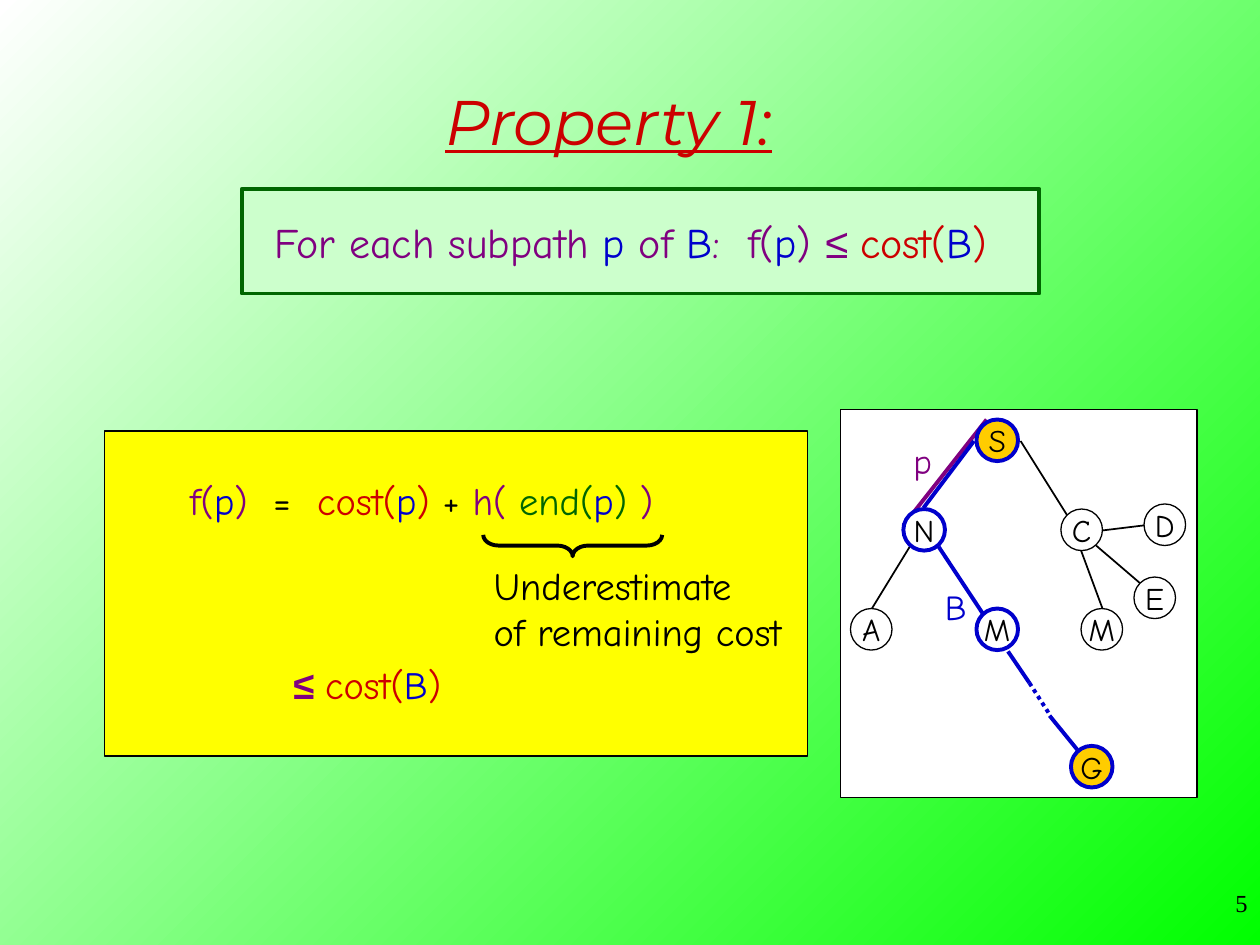
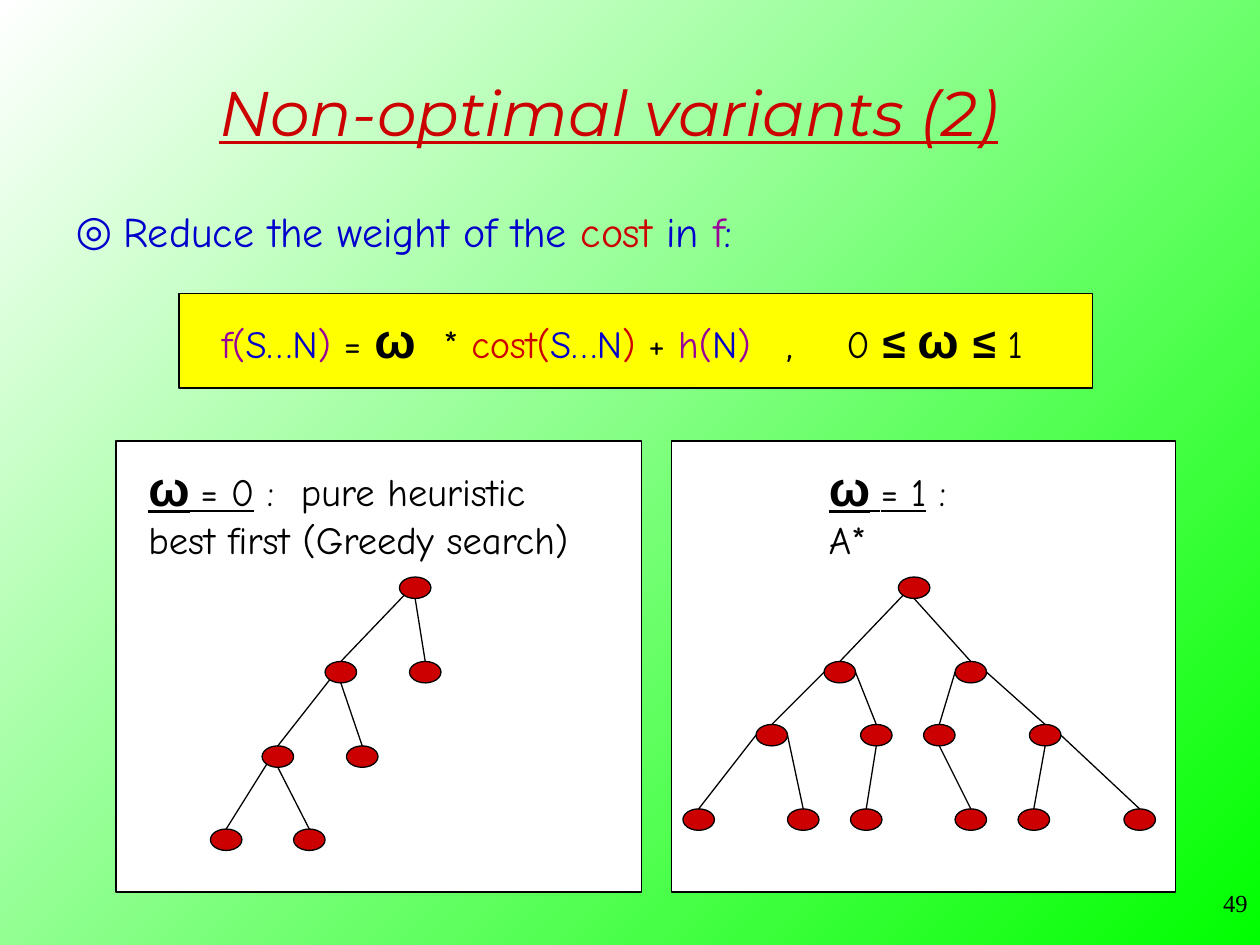
from lxml.etree import SubElement as Sub
from pptx import Presentation
from pptx.dml.color import RGBColor as RGB
from pptx.enum.dml import MSO_LINE as DASH
from pptx.enum.shapes import MSO_CONNECTOR as CONN, MSO_SHAPE as SHAPE
from pptx.enum.text import MSO_ANCHOR as ANCHOR, MSO_AUTO_SIZE as AUTO, PP_ALIGN as ALIGN
from pptx.oxml.ns import qn
from pptx.util import Inches, Pt

RED = RGB(0xCC, 0, 0)
BLUE = RGB(0, 0, 0xCC)
PURPLE = RGB(0x80, 0, 0x80)
VIOLET = RGB(0x99, 0, 0x99)
FOREST = RGB(0, 0x66, 0)
GREEN = RGB(0, 0xFF, 0)
MINT = RGB(0xCC, 0xFF, 0xCC)
YELLOW = RGB(0xFF, 0xFF, 0)
GOLD = RGB(0xFF, 0xCC, 0)
WHITE = RGB(0xFF, 0xFF, 0xFF)
BLACK = RGB(0, 0, 0)

BASE = dict(name="Comic Neue", bold=False)
TITLE = dict(name="Montserrat", italic=True, underline=True)
SIGN = dict(name="Arial", bold=True)
OMEGA = dict(SIGN, size=Pt(28))
PAGE = dict(name="Times New Roman")
FRAME = dict(word_wrap=True, auto_size=AUTO.NONE, vertical_anchor=ANCHOR.TOP)
MIDDLE = dict(vertical_anchor=ANCHOR.MIDDLE)
SITES = dict(w=(0, 0.5), e=(1, 0.5), s=(0.5, 1), sw=(0.15, 0.85), n=(0.5, 0))


def assign(target, values):
    for key, value in values.items():
        setattr(target, key, value)


def write(shape, lines, size, tabs=(), align=ALIGN.LEFT, **frame):
    text = shape.text_frame
    assign(text, FRAME | frame)
    for i, parts in enumerate(lines):
        para = text.paragraphs[0] if i == 0 else text.add_paragraph()
        para.alignment = align
        for words, ink, *extra in parts:
            run = para.add_run()
            run.text = words
            assign(run.font, BASE | dict(size=Pt(size)) | (extra[0] if extra else {}))
            run.font.color.rgb = ink
        if tabs:
            stops = Sub(para._p.get_or_add_pPr(), qn("a:tabLst"))
            for stop in tabs:
                Sub(stops, qn("a:tab"), pos=str(Inches(stop)), algn="l")


def place(shape, box):
    assign(shape, dict(zip(("left", "top", "width", "height"), map(Inches, box))))


def label(slide, box, lines, size, **form):
    write(slide.shapes.add_textbox(*map(Inches, box)), lines, size, **form)


def draw(slide, kind, box, fill, ink=BLACK, width=0.75):
    shape = slide.shapes.add_shape(kind, *map(Inches, box))
    shape.shadow.inherit = False
    if fill is None:
        shape.fill.background()
    else:
        shape.fill.solid()
        shape.fill.fore_color.rgb = fill
    shape.line.color.rgb = ink
    shape.line.width = Pt(width)
    return shape


def link(slide, start, end, ink=BLACK, width=0.75, dash=None):
    line = slide.shapes.add_connector(CONN.STRAIGHT, *map(Inches, (*start, *end)))
    line.line.color.rgb = ink
    line.line.width = Pt(width)
    if dash:
        line.line.dash_style = dash
    Sub(line._element.spPr, qn("a:effectLst"))


def start(deck, layout, title, box, number):
    slide = deck.slides.add_slide(deck.slide_layouts[layout])
    place(slide.shapes.title, box)
    write(slide.shapes.title, [[(title, RED, TITLE)]], 36, align=ALIGN.CENTER, **MIDDLE)
    label(slide, (7.92, 7, 2.08, 0.5), [[(number, BLACK, PAGE)]], 14, align=ALIGN.RIGHT)
    return slide


def claim(slide, box):
    x, y = box[:2]
    draw(slide, SHAPE.RECTANGLE, box, MINT, FOREST, 2.25)
    label(slide, (x + 0.16, y + 0.17, 6.17, 0.5), [[
        ("For each subpath ", PURPLE), ("p", BLUE), (" of ", PURPLE), ("B", BLUE),
        (":\tf(", PURPLE), ("p", BLUE), (") ", PURPLE), ("≤ ", PURPLE, dict(name="Arial")),
        ("cost(", RED), ("B", BLUE), (")", RED)]], 24, tabs=[3.76])


def proof(slide, box):
    x, y = box[:2]
    draw(slide, SHAPE.RECTANGLE, box, YELLOW)
    label(slide, (x + 0.58, y + 0.32, 4.5, 0.47), [[
        ("f(", PURPLE), ("p", BLUE), (")", PURPLE), ("\t=\t", BLACK),
        ("cost(", RED), ("p", BLUE), (")", RED), (" + ", BLACK), ("h( ", PURPLE),
        ("end(", FOREST), ("p", BLUE), (")", FOREST), (" )", PURPLE)]], 22, tabs=[0.66, 1.01])
    label(slide, (x + 1.4, y + 1.78, 2, 0.47), [[
        ("≤ ", PURPLE, SIGN), ("cost(", RED), ("B", BLUE), (")", RED)]], 22)
    brace = draw(slide, SHAPE.LEFT_BRACE, (x + 3.63, y + 0.2, 0.17, 1.42), None, BLACK, 2.25)
    brace.rotation = 270
    brace.adjustments[0] = 0.72
    label(slide, (x + 2.99, y + 0.99, 2.6, 0.84),
          [[("Underestimate", BLACK)], [("of remaining cost", BLACK)]], 22)


def graph(slide, box):
    x, y = box[:2]
    draw(slide, SHAPE.RECTANGLE, box, WHITE)

    def join(a, b, c, d, *style):
        link(slide, (x + a, y + b), (x + c, y + d), *style)

    join(1.16, 0.08, 0.5, 0.92, PURPLE, 2.25)
    for ends in [(1.06, 0.25, 0.66, 0.78), (0.78, 1.09, 1.13, 1.62),
                 (1.33, 1.92, 1.5, 2.17), (1.66, 2.43, 1.88, 2.7)]:
        join(*ends, BLUE, 2.25)
    join(1.5, 2.17, 1.66, 2.42, BLUE, 2.25, DASH.ROUND_DOT)
    for ends in [(0.55, 1.09, 0.25, 1.58), (1.43, 0.25, 1.8, 0.84), (1.91, 1.12, 2.08, 1.58),
                 (2.03, 1.08, 2.38, 1.38), (2.08, 0.96, 2.41, 0.92)]:
        join(*ends, BLACK, 1)
    plain = (WHITE, BLACK, 0.75)
    route = (WHITE, BLUE, 2.25)
    goal = (GOLD, BLUE, 2.25)
    for name, left, top, style in [
            ("A", 0.08, 1.58, plain), ("M", 1.91, 1.58, plain), ("E", 2.33, 1.33, plain),
            ("D", 2.41, 0.75, plain), ("C", 1.75, 0.79, plain), ("S", 1.08, 0.08, goal),
            ("N", 0.5, 0.79, route), ("M", 1.08, 1.58, route), ("G", 1.83, 2.67, goal)]:
        node = draw(slide, SHAPE.OVAL, (x + left, y + top, 0.33, 0.33), *style)
        write(node, [[(name, BLACK)]], 18, align=ALIGN.CENTER, **MIDDLE | dict(word_wrap=False))
    for name, ink, left, top in [("p", PURPLE, 0.48, 0.19), ("B", BLUE, 0.73, 1.35)]:
        label(slide, (x + left, y + top, 0.4, 0.44), [[(name, ink)]], 20)


def lead(slide, box):
    body = slide.placeholders[1]
    place(body, box)
    write(body, [[("Reduce the weight of the ", BLUE), ("cost", RED), (" in ", BLUE),
                  ("f", VIOLET), (":", BLUE)]], 24)
    para = body.text_frame.paragraphs[0]
    para.space_before = Pt(6)
    form = para._p.get_or_add_pPr()
    form.set("marL", str(Inches(0.38)))
    form.set("indent", str(Inches(-0.38)))
    Sub(Sub(form, qn("a:buClr")), qn("a:srgbClr"), val=str(BLUE))
    Sub(form, qn("a:buChar"), char="◎")


def weight(slide, box):
    x, y = box[:2]
    draw(slide, SHAPE.RECTANGLE, box, YELLOW)
    label(slide, (x + 0.24, y + 0.08, 6.95, 0.57), [[
        ("f(", VIOLET), ("S…N", BLUE), (")", VIOLET), (" = ", BLACK), ("ω", BLACK, OMEGA),
        ("\t* ", BLACK), ("cost(", RED), ("S…N", BLUE), (")", RED), (" + ", BLACK),
        ("h(", VIOLET), ("N", BLUE), (")", VIOLET), ("\t,", BLACK, dict(size=Pt(24))),
        ("\t0 ", BLACK), ("≤ ", BLACK, SIGN | dict(size=Pt(24))), ("ω", BLACK, OMEGA),
        (" ", BLACK, dict(size=Pt(24))), ("≤ ", BLACK, SIGN | dict(size=Pt(24))),
        ("1", BLACK)]], 22, tabs=[1.76, 4.48, 4.96])


def case(slide, box, inset, wide, value, tail, below, nodes, edges):
    x, y = box[:2]
    draw(slide, SHAPE.RECTANGLE, box, WHITE)
    line = dict(underline=True)
    label(slide, (x + inset, y + 0.08, wide, 0.94), [
        [("ω", BLACK, OMEGA | line), (" ", BLACK, PAGE | line | dict(size=Pt(24))),
         ("= " + value, BLACK, line), (tail, BLACK)],
        [(below, BLACK)]], 22, tabs=[1.21])
    spots = [(x + left, y + top) for top, row in nodes for left in row]

    def site(index, name):
        across, down = SITES[name]
        left, top = spots[index]
        return left + 0.25 * across, top + 0.17 * down

    for left, top in spots:
        draw(slide, SHAPE.OVAL, (left, top, 0.25, 0.17), RED)
    for child, (parent, side) in enumerate(edges, 1):
        link(slide, site(parent, side), site(child, "n"))


def first(deck):
    slide = start(deck, 5, "Property 1:", (0.58, 0.33, 8.5, 1.25), "5")
    claim(slide, (1.92, 1.5, 6.33, 0.83))
    graph(slide, (6.67, 3.25, 2.83, 3.08))
    proof(slide, (0.83, 3.42, 5.58, 2.58))


def second(deck):
    slide = start(deck, 1, "Non-optimal variants (2)", (0.58, 0.42, 8.5, 0.92), "49")
    lead(slide, (0.5, 1.58, 8.67, 0.67))
    weight(slide, (1.42, 2.33, 7.25, 0.75))
    case(slide, (0.92, 3.5, 4.17, 3.58), 0.16, 4.1, "0", " :\tpure heuristic",
         "best first (Greedy search)",
         [(1.08, [2.25]), (1.75, [1.66, 2.33]), (2.42, [1.16, 1.83]), (3.08, [0.75, 1.41])],
         [(0, "sw"), (0, "s"), (1, "sw"), (1, "s"), (3, "sw"), (3, "s")])
    case(slide, (5.33, 3.5, 4, 3.58), 1.15, 1.47, "1", " :", "A*",
         [(1.08, [1.8]), (1.75, [1.21, 2.25]), (2.25, [0.67, 1.5, 2, 2.84]),
          (2.92, [0.09, 0.92, 1.42, 2.25, 2.75, 3.59])],
         [(0, "sw"), (0, "s"), (1, "w"), (1, "e"), (2, "w"), (2, "e"),
          (3, "w"), (3, "e"), (4, "s"), (5, "s"), (6, "s"), (6, "e")])


def main():
    deck = Presentation()
    assign(deck, dict(slide_width=Inches(10), slide_height=Inches(7.5)))
    fill = deck.slide_master.background.fill
    fill.gradient()
    fill.gradient_angle = 135
    for stop, ink in zip(fill.gradient_stops, (GREEN, WHITE)):
        stop.color.rgb = ink
    first(deck)
    second(deck)
    deck.save("out.pptx")


if __name__ == "__main__":
    main()
